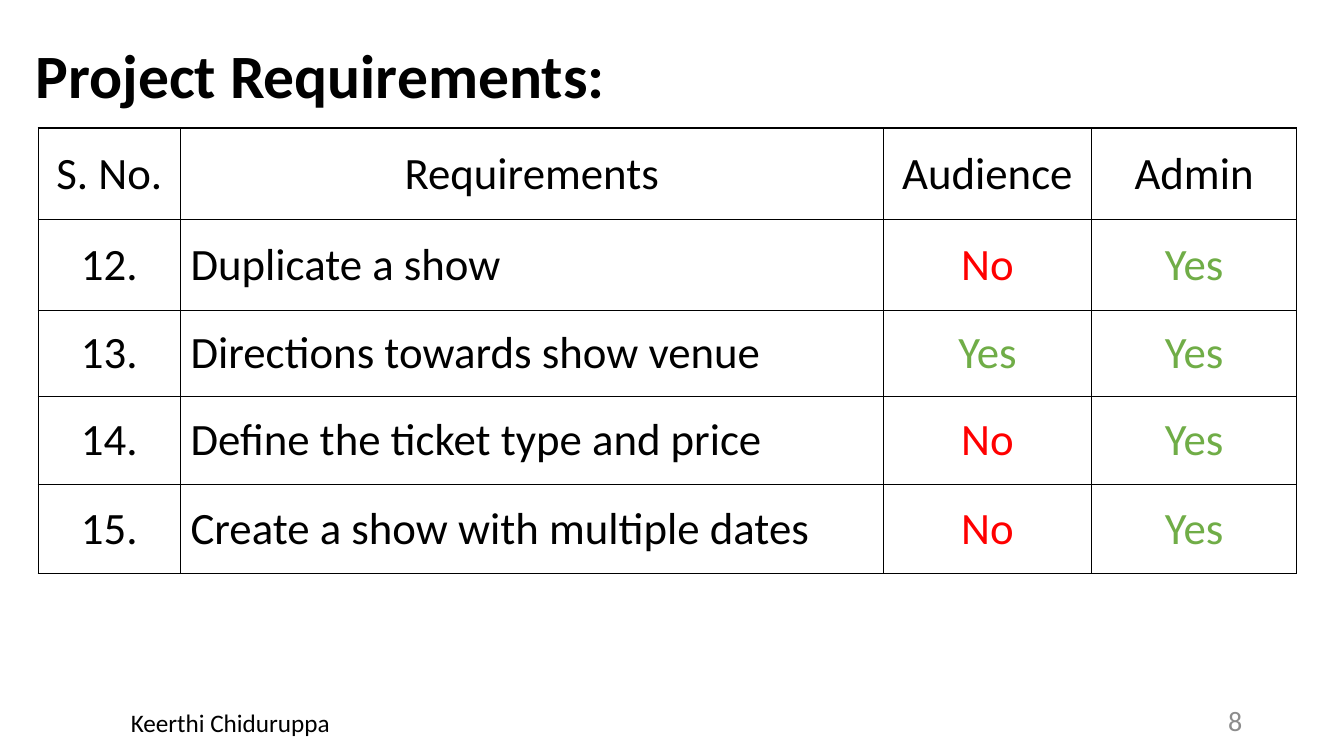
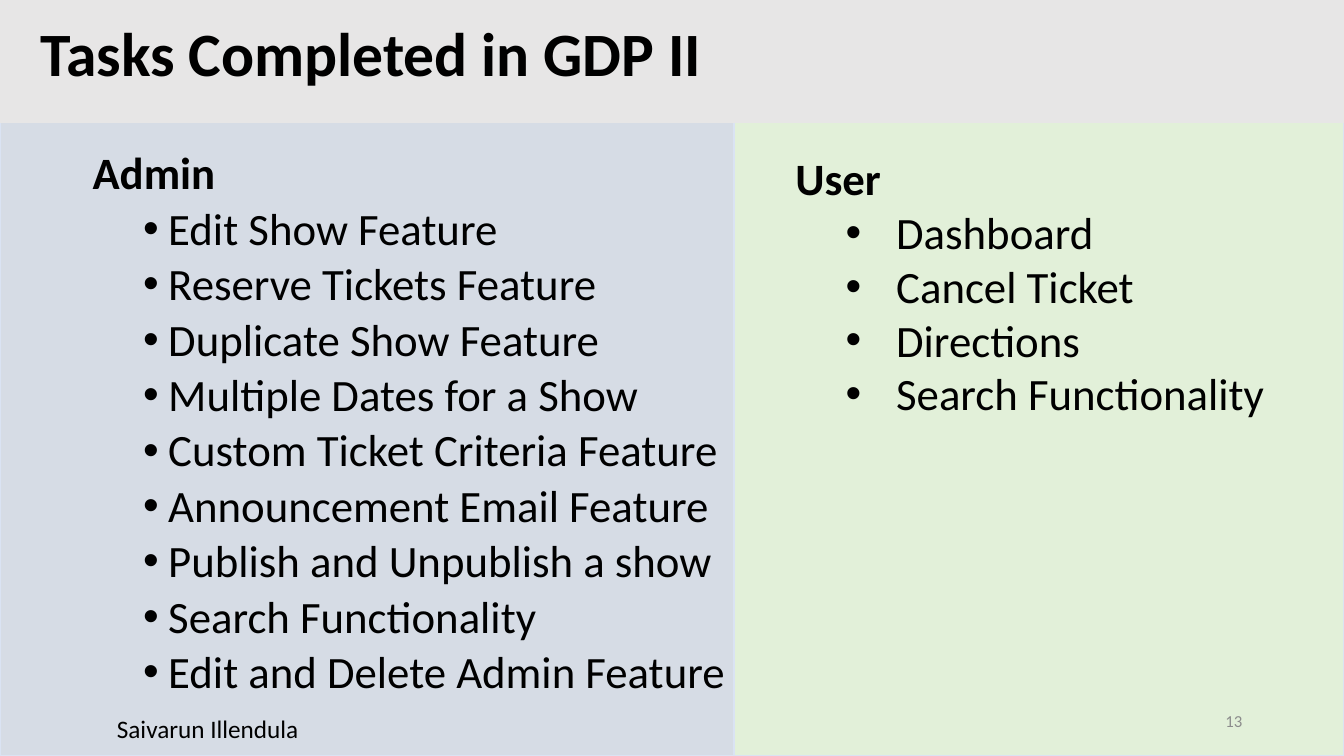
from dataclasses import dataclass

from lxml.etree import SubElement
from pptx import Presentation
from pptx.dml.color import RGBColor
from pptx.enum.shapes import MSO_SHAPE
from pptx.enum.text import MSO_ANCHOR, MSO_AUTO_SIZE, PP_ALIGN
from pptx.oxml.ns import qn
from pptx.util import Emu, Pt

PX = 9144
PAGE_WIDTH, PAGE_HEIGHT = 1333, 750
PANEL_SPLIT = 728


@dataclass(frozen=True)
class Theme:
    """Colours, font and type sizes shared by the slides."""
    font: str = "Calibri"
    ink: str = "000000"
    muted: str = "8C8C8C"
    yes: str = "70AD47"
    no: str = "FF0000"
    band: str = "E7E6E6"
    admin_panel: str = "D6DCE5"
    user_panel: str = "E2F0D9"
    panel_line: str = "DAE3F3"
    title_size: int = 44
    body_size: int = 32
    presenter_size: int = 18


THEME = Theme()

REQUIREMENTS = [
    ("S. No.", "Requirements", "Audience", "Admin"),
    ("12.", "Duplicate a show", "No", "Yes"),
    ("13.", "Directions towards show venue", "Yes", "Yes"),
    ("14.", "Define the ticket type and price", "No", "Yes"),
    ("15.", "Create a show with multiple dates", "No", "Yes"),
]
COLUMN_WIDTHS = [141, 697, 207, 203]
ROW_HEIGHTS = [91, 90, 85, 88, 88]

ADMIN_TASKS = [
    "Edit Show Feature",
    "Reserve Tickets Feature",
    "Duplicate Show Feature",
    "Multiple Dates for a Show",
    "Custom Ticket Criteria Feature",
    "Announcement Email Feature",
    "Publish and Unpublish a show",
    "Search Functionality",
    "Edit and Delete Admin Feature",
]
USER_TASKS = ["Dashboard", "Cancel Ticket", "Directions", "Search Functionality"]


def px(*lengths):
    """Turn pixel lengths into a list of EMU lengths."""
    return [Emu(length * PX) for length in lengths]


def style_para(para, size, color=THEME.ink, bold=False, align=PP_ALIGN.LEFT):
    """Align a paragraph and format its runs."""
    para.alignment = align
    for span in para.runs:
        span.font.name = THEME.font
        span.font.size = Pt(size)
        span.font.bold = bold
        span.font.color.rgb = RGBColor.from_string(color)


def add_title_page(deck, text, area, anchor, line_spacing):
    """Add a title-only page with a formatted title."""
    page = deck.slides.add_slide(deck.slide_layouts[5])
    title = page.shapes.title
    title.left, title.top, title.width, title.height = px(*area)
    frame = title.text_frame
    frame.text = text
    frame.auto_size = MSO_AUTO_SIZE.NONE
    frame.vertical_anchor = anchor
    para = frame.paragraphs[0]
    para.line_spacing = line_spacing
    para.space_before = Pt(0)
    style_para(para, THEME.title_size, bold=True)
    return page


def add_text(page, text, area, size, color=THEME.ink, bold=False,
             align=PP_ALIGN.LEFT, anchor=MSO_ANCHOR.TOP):
    """Add a wrapping text box with one paragraph and return its frame."""
    box = page.shapes.add_textbox(*px(*area))
    frame = box.text_frame
    frame.word_wrap = True
    frame.vertical_anchor = anchor
    frame.text = text
    style_para(frame.paragraphs[0], size, color, bold, align)
    return frame


def add_footer(page, presenter, presenter_area, number, number_size):
    """Add the presenter name and the page number."""
    add_text(page, presenter, presenter_area, THEME.presenter_size,
             align=PP_ALIGN.CENTER)
    add_text(page, number, (942, 695, 300, 40), number_size, THEME.muted,
             align=PP_ALIGN.RIGHT, anchor=MSO_ANCHOR.MIDDLE)


def add_panel(page, area, fill, line=None):
    """Add a flat rectangle with an optional outline."""
    panel = page.shapes.add_shape(MSO_SHAPE.RECTANGLE, *px(*area))
    panel.shadow.inherit = False
    panel.fill.solid()
    panel.fill.fore_color.rgb = RGBColor.from_string(fill)
    if line:
        panel.line.color.rgb = RGBColor.from_string(line)
        panel.line.width = Pt(1)
    else:
        panel.line.fill.background()


def set_bullet(para, indent, hanging):
    """Give a paragraph a bullet with a hanging indent."""
    properties = para._p.get_or_add_pPr()
    properties.set("marL", str(indent * PX))
    properties.set("indent", str(-hanging * PX))
    SubElement(properties, qn("a:buFont"), typeface="Arial")
    SubElement(properties, qn("a:buChar"), char="•")


def add_task_list(page, heading, tasks, area, indent, hanging,
                  line_spacing=1.0, heading_gap=0, task_gap=0):
    """Add a bold heading followed by bulleted tasks."""
    frame = add_text(page, heading, area, THEME.body_size, bold=True)
    frame.paragraphs[0].space_before = Pt(heading_gap)
    for task in tasks:
        para = frame.add_paragraph()
        para.text = task
        para.level = 1
        para.space_before = Pt(task_gap)
        style_para(para, THEME.body_size)
    for para in frame.paragraphs:
        para.line_spacing = line_spacing
    for para in frame.paragraphs[1:]:
        set_bullet(para, indent, hanging)


def set_borders(cell):
    """Draw a thin line on all four sides of a cell."""
    properties = cell._tc.get_or_add_tcPr()
    for position, side in enumerate(("a:lnL", "a:lnR", "a:lnT", "a:lnB")):
        line = properties.makeelement(qn(side), {"w": str(Pt(1))})
        fill = SubElement(line, qn("a:solidFill"))
        SubElement(fill, qn("a:srgbClr"), val=THEME.ink)
        properties.insert(position, line)


def add_requirements_table(page, left, top):
    """Add the table of requirements with coloured answers."""
    area = (left, top, sum(COLUMN_WIDTHS), sum(ROW_HEIGHTS))
    table = page.shapes.add_table(
        len(ROW_HEIGHTS), len(COLUMN_WIDTHS), *px(*area)).table
    table.first_row = False
    table.horz_banding = False
    for column, width in zip(table.columns, px(*COLUMN_WIDTHS)):
        column.width = width
    for row, height in zip(table.rows, px(*ROW_HEIGHTS)):
        row.height = height
    answer_colors = {"Yes": THEME.yes, "No": THEME.no}
    for row_index, texts in enumerate(REQUIREMENTS):
        for column_index, text in enumerate(texts):
            cell = table.cell(row_index, column_index)
            cell.text = text
            cell.vertical_anchor = MSO_ANCHOR.MIDDLE
            cell.fill.background()
            set_borders(cell)
            is_description = row_index > 0 and column_index == 1
            align = PP_ALIGN.LEFT if is_description else PP_ALIGN.CENTER
            style_para(cell.text_frame.paragraphs[0], THEME.body_size,
                       answer_colors.get(text, THEME.ink), align=align)


def add_requirements_page(deck):
    """Build the page of project requirements."""
    page = add_title_page(deck, "Project Requirements:", (25, 26, 1216, 103),
                          MSO_ANCHOR.MIDDLE, 0.9)
    add_requirements_table(page, 38, 127)
    add_footer(page, "Keerthi Chiduruppa", (42, 697, 373, 40), "8", 20)


def add_tasks_page(deck):
    """Build the page of completed tasks."""
    page = add_title_page(deck, "Tasks Completed in GDP II", (30, 10, 1156, 97),
                          MSO_ANCHOR.TOP, 1.0)
    add_panel(page, (PANEL_SPLIT, 0, PAGE_WIDTH - PANEL_SPLIT, PAGE_HEIGHT),
              THEME.user_panel, THEME.panel_line)
    add_panel(page, (0, 0, PANEL_SPLIT, PAGE_HEIGHT),
              THEME.admin_panel, THEME.panel_line)
    add_panel(page, (0, 0, PAGE_WIDTH, 122), THEME.band)
    add_task_list(page, "Admin", ADMIN_TASKS, (82, 145, 1178, 574), 75, 25,
                  line_spacing=0.9, heading_gap=10, task_gap=5)
    add_task_list(page, "User", USER_TASKS, (779, 145, 554, 310), 100, 50)
    add_footer(page, "Saivarun Illendula", (56, 703, 300, 40), "13", 12)
    title = page.shapes.title.element
    title.getparent().append(title)


def main():
    """Build and save the deck."""
    deck = Presentation()
    deck.slide_width, deck.slide_height = px(PAGE_WIDTH, PAGE_HEIGHT)
    add_requirements_page(deck)
    add_tasks_page(deck)
    deck.save("out.pptx")


if __name__ == "__main__":
    main()
